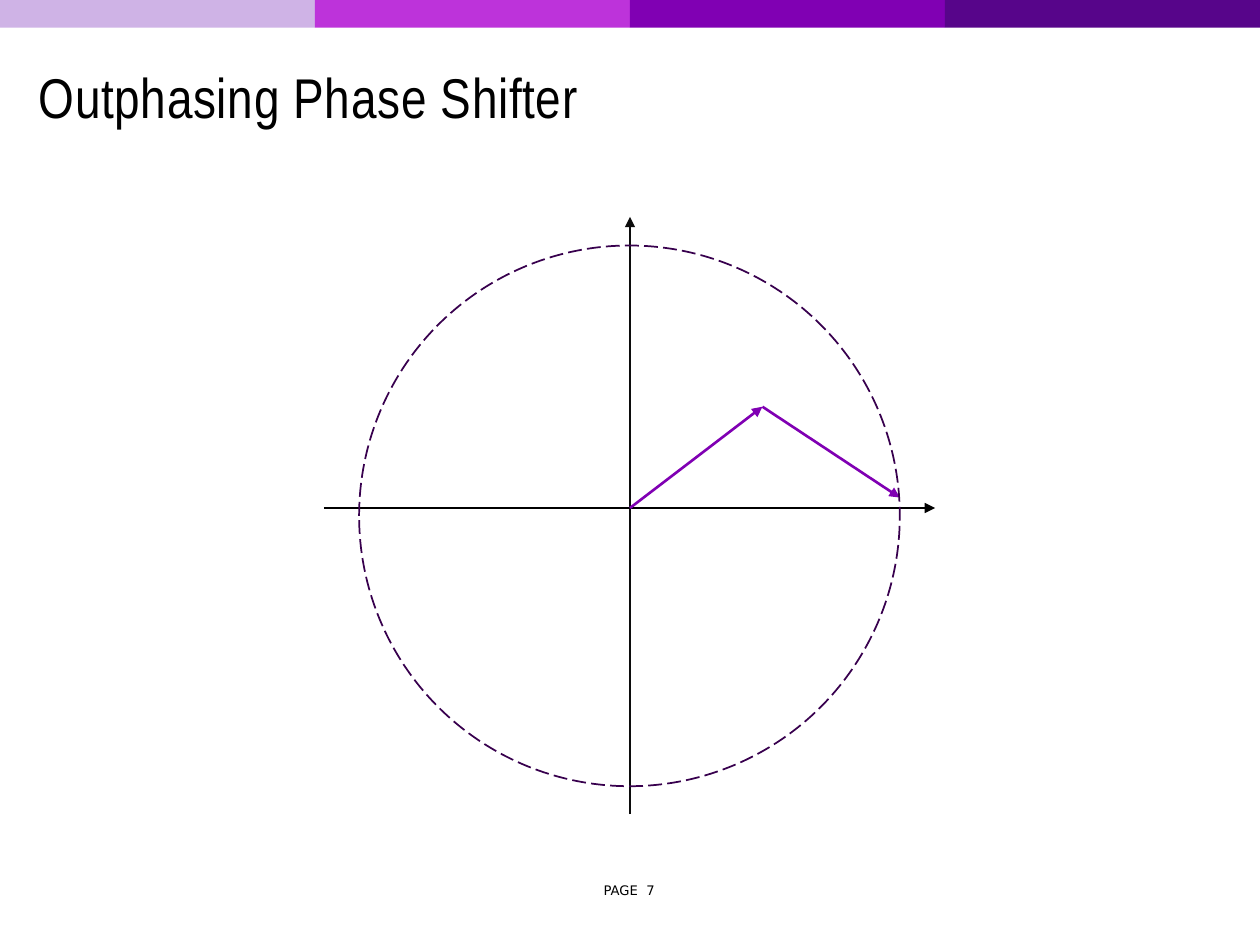
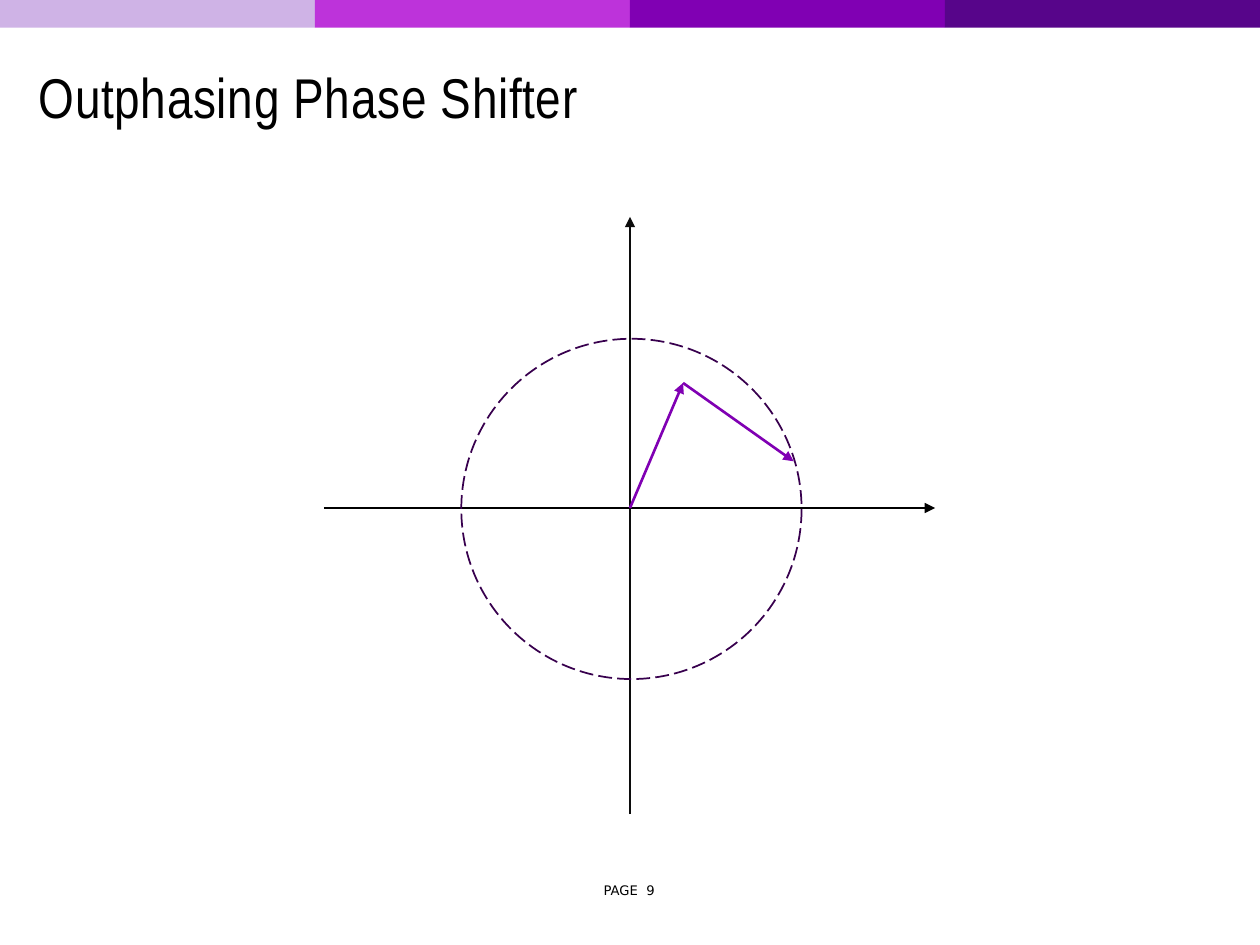
import pptx
import pptx.util
import pptx.dml.color
import pptx.enum.dml
import pptx.enum.shapes
import pptx.enum.text
import pptx.oxml
from pptx.oxml import ns

Cm, Pt = pptx.util.Cm, pptx.util.Pt
SHAPE = pptx.enum.shapes.MSO_SHAPE
ALIGN = pptx.enum.text.PP_ALIGN

BLACK, AXIS_GREY, VECTOR, CIRCLE = "000000", "0C0C0C", "8000B3", "38004E"
BAND_COLOURS = ["CFB3E6", "BD33DA", "8000B3", "57058A"]
BAND_W, BAND_H = 6.35, 0.56
ORIGIN = (12.7, 10.24)

# Page, tip of each vector, circle centre and diameter (cm)
PHASORS = [
    (7, (15.37, 8.2), (18.14, 10.03), (12.69, 10.4), 10.9),
    (9, (13.77, 7.72), (16, 9.3), (12.73, 10.26), 6.86),
]


def rgb(colour):
    return pptx.dml.color.RGBColor.from_string(colour)


def add_arrow(slide, start, end, colour):
    cx = slide.shapes.add_connector(
        pptx.enum.shapes.MSO_CONNECTOR.STRAIGHT,
        *[Cm(v) for v in (*start, *end)])
    cx.line.color.rgb = rgb(colour)
    cx.line.width = Pt(1.5)
    tail = pptx.oxml.parse_xml(f'<a:tailEnd {ns.nsdecls("a")} type="triangle"/>')
    cx.line._get_or_add_ln().append(tail)
    cx._element.spPr.append(pptx.oxml.parse_xml(f'<a:effectLst {ns.nsdecls("a")}/>'))


prs = pptx.Presentation()
prs.slide_width, prs.slide_height = Cm(25.4), Cm(19.05)

for page, first_tip, second_tip, centre, diameter in PHASORS:
    slide = prs.slides.add_slide(prs.slide_layouts[6])

    for i, colour in enumerate(BAND_COLOURS):
        sp = slide.shapes.add_shape(
            SHAPE.RECTANGLE, Cm(i * BAND_W), 0, Cm(BAND_W), Cm(BAND_H))
        sp.shadow.inherit = False
        sp.fill.solid()
        sp.fill.fore_color.rgb = rgb(colour)
        sp.line.fill.background()

    for text, box, font, size, align in [
        (f"PAGE  {page}", (11.63, 17.6, 2.11, 0.69), "DejaVu Sans", 7.5, ALIGN.CENTER),
        ("Outphasing Phase Shifter", (0.53, 0.79, 24.1, 2.49), "Arial Narrow", 32, ALIGN.LEFT),
    ]:
        tf = slide.shapes.add_textbox(*[Cm(v) for v in box]).text_frame
        tf.word_wrap = True
        tf.vertical_anchor = pptx.enum.text.MSO_ANCHOR.MIDDLE
        tf.text = text
        p = tf.paragraphs[0]
        p.alignment = align
        r = p.runs[0]
        r.font.name, r.font.size = font, Pt(size)
        r.font.color.rgb = rgb(BLACK)
    # The title comes last and is set tighter, with wider letter spacing
    p.line_spacing = 0.85
    r.font._element.set("spc", "40")

    add_arrow(slide, (6.53, ORIGIN[1]), (18.85, ORIGIN[1]), BLACK)
    add_arrow(slide, (ORIGIN[0], 16.41), (ORIGIN[0], 4.37), AXIS_GREY)
    add_arrow(slide, ORIGIN, first_tip, VECTOR)
    add_arrow(slide, first_tip, second_tip, VECTOR)

    left, top = [Cm(c - diameter / 2) for c in centre]
    sp = slide.shapes.add_shape(SHAPE.OVAL, left, top, Cm(diameter), Cm(diameter))
    sp.shadow.inherit = False
    sp.fill.background()
    sp.line.color.rgb = rgb(CIRCLE)
    sp.line.width = Pt(1)
    sp.line.dash_style = pptx.enum.dml.MSO_LINE.LONG_DASH

prs.save("out.pptx")
